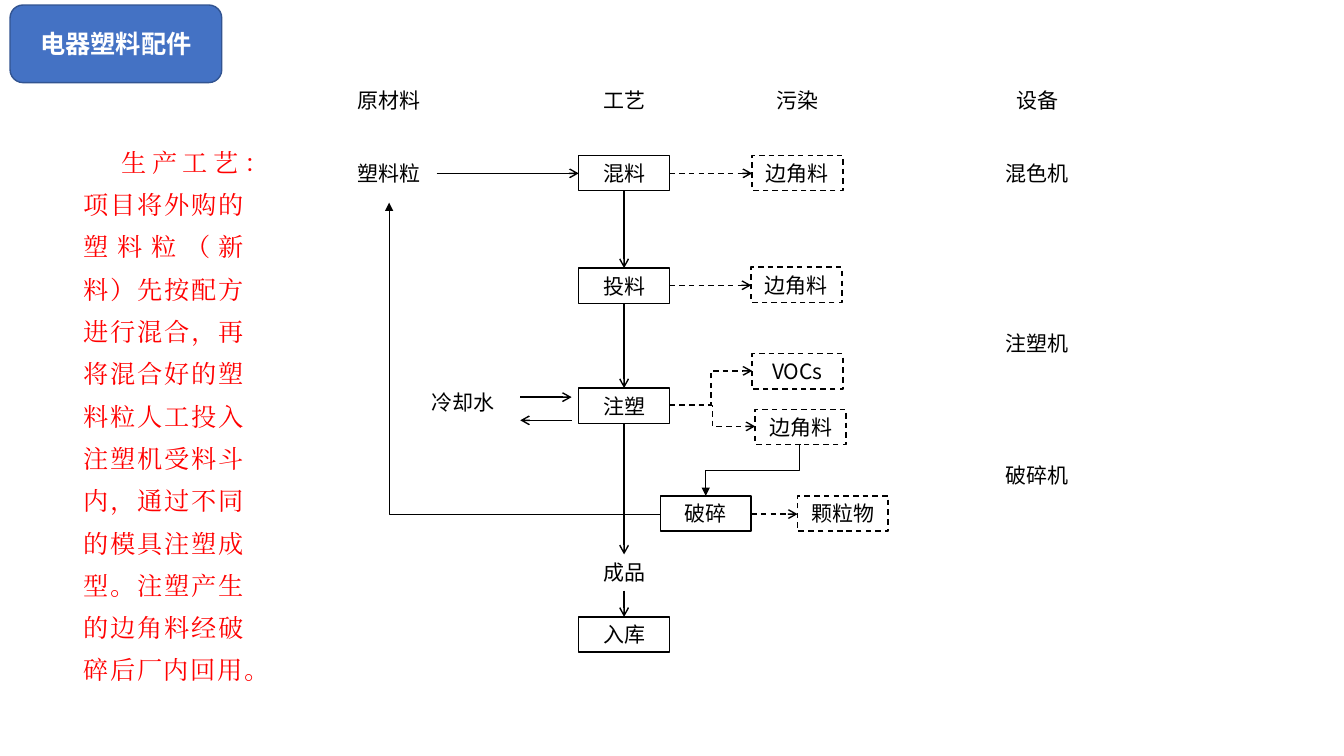
from lxml import etree
from pptx import Presentation
from pptx import util as u
from pptx.dml.color import RGBColor
from pptx.enum import dml, shapes, text
from pptx.oxml.ns import qn

PX = 9144  # 100 px to the inch
BLACK = RGBColor(0, 0, 0)
WHITE = RGBColor(255, 255, 255)
RED = RGBColor(255, 0, 0)
BLUE = RGBColor(0x44, 0x72, 0xC4)
DARK_BLUE = RGBColor(0x32, 0x54, 0x91)
SANS = "Noto Sans CJK SC"
SERIF = "Times New Roman"
BOX_WIDTH, BOX_HEIGHT = 90, 35

PROCESS = ("生产工艺：项目将外购的塑料粒（新料）先按配方进行混合，再将混合好的塑料粒人工投入"
           "注塑机受料斗内，通过不同的模具注塑成型。注塑产生的边角料经破碎后厂内回用。")

# Centre x and top y of each label or box
LABELS = [
    ("原材料", 386, 82), ("工艺", 619, 82), ("污染", 791, 82), ("设备", 1029, 82),
    ("塑料粒", 386, 154), ("冷却水", 459, 381), ("成品", 619, 550),
    ("混色机", 1029, 154), ("注塑机", 1029, 323), ("破碎机", 1029, 454),
]
STEPS = [("混料", 619, 154), ("投料", 619, 266), ("注塑", 619, 385),
         ("破碎", 700, 492), ("入库", 619, 612)]
POLLUTANTS = [("边角料", 791, 154), ("边角料", 790, 265), ("VOCs", 791, 351),
              ("边角料", 794, 406), ("颗粒物", 836, 492)]

FLOW_ARROWS = [
    ((433, 172), (574, 172)), ((516, 394), (567, 394)), ((567, 417), (516, 417)),
    ((619, 189), (619, 266)), ((619, 301), (619, 385)),
    ((619, 420), (619, 550)), ((619, 586), (619, 612)),
]
WASTE_ARROWS = [((664, 172), (746, 172)), ((664, 283), (745, 283)),
                ((745, 510), (791, 510))]
WASTE_ELBOWS = [((664, 402), (749, 423)), ((664, 402), (746, 368))]


def px(*lengths):
    return [u.Emu(round(length * PX)) for length in lengths]


def write(shape, words, size=15, font=SANS, color=BLACK, bold=False,
          align=text.PP_ALIGN.CENTER, anchor=text.MSO_ANCHOR.MIDDLE,
          margins=(0, 0), indent=0, line_spacing=None):
    frame = shape.text_frame
    frame.word_wrap = True
    frame.vertical_anchor = anchor
    frame.margin_left, frame.margin_top = px(*margins)
    frame.margin_right, frame.margin_bottom = px(*margins)
    paragraph = frame.paragraphs[0]
    paragraph.alignment = align
    if line_spacing:
        paragraph.line_spacing = line_spacing
    if indent:
        paragraph._p.get_or_add_pPr().set("indent", str(indent * PX))
    run = paragraph.add_run()
    run.text = words
    run.font.size = u.Pt(size)
    run.font.bold = bold
    run.font.name = font
    run.font.color.rgb = color
    east_asian = etree.SubElement(run._r.get_or_add_rPr(), qn("a:ea"))
    east_asian.set("typeface", font)


def add_box(slide, box, kind=shapes.MSO_SHAPE.RECTANGLE, fill=WHITE, line=BLACK,
            dashed=False):
    shape = slide.shapes.add_shape(kind, *px(*box))
    shape.shadow.inherit = False
    shape.fill.solid()
    shape.fill.fore_color.rgb = fill
    shape.line.color.rgb = line
    shape.line.width = u.Pt(1)
    if dashed:
        shape.line.dash_style = dml.MSO_LINE.DASH
    return shape


def add_arrow(slide, start, end, kind=shapes.MSO_CONNECTOR.STRAIGHT,
              dashed=False, width=1, head="arrow"):
    arrow = slide.shapes.add_connector(kind, *px(*start, *end))
    arrow.line.color.rgb = BLACK
    arrow.line.width = u.Pt(width)
    if dashed:
        arrow.line.dash_style = dml.MSO_LINE.DASH
    tail = etree.SubElement(arrow.line._get_or_add_ln(), qn("a:tailEnd"))
    tail.set("type", head)
    etree.SubElement(arrow._element.spPr, qn("a:effectLst"))
    return arrow


def add_turned_elbow(slide, start, end, degrees, preset):
    """Elbow arrow whose preset outline is turned about the middle of its ends."""
    middle_x, middle_y = (start[0] + end[0]) / 2, (start[1] + end[1]) / 2
    half_width, half_height = abs(end[0] - start[0]) / 2, abs(end[1] - start[1]) / 2
    if degrees % 180:
        half_width, half_height = half_height, half_width
    arrow = add_arrow(slide, (middle_x - half_width, middle_y - half_height),
                      (middle_x + half_width, middle_y + half_height),
                      shapes.MSO_CONNECTOR.ELBOW, width=0.5, head="triangle")
    properties = arrow._element.spPr
    properties.find(qn("a:xfrm")).set("rot", str(degrees * 60000))
    properties.find(qn("a:prstGeom")).set("prst", preset)


def add_title(slide, box):
    badge = add_box(slide, box, shapes.MSO_SHAPE.ROUNDED_RECTANGLE, BLUE, DARK_BLUE)
    write(badge, "电器塑料配件", size=18, color=WHITE, bold=True)


def add_description(slide, box):
    description = slide.shapes.add_textbox(*px(*box))
    write(description, PROCESS, size=18, font=SERIF, color=RED,
          align=text.PP_ALIGN.JUSTIFY, anchor=text.MSO_ANCHOR.TOP,
          margins=(10, 5), indent=38, line_spacing=1.4)


def add_flow_chart(slide, left, top):
    def place(point):
        return left + point[0], top + point[1]

    def cell(center, cell_top):
        return (*place((center - BOX_WIDTH / 2, cell_top)), BOX_WIDTH, BOX_HEIGHT)

    for words, center, label_top in LABELS:
        write(slide.shapes.add_textbox(*px(*cell(center, label_top))), words)
    for start, end in FLOW_ARROWS:
        add_arrow(slide, place(start), place(end))
    for start, end in WASTE_ARROWS:
        add_arrow(slide, place(start), place(end), dashed=True)
    for start, end in WASTE_ELBOWS:
        add_arrow(slide, place(start), place(end), shapes.MSO_CONNECTOR.ELBOW,
                  dashed=True)
    add_turned_elbow(slide, place((793, 441)), place((700, 492)), 90,
                     "bentConnector3")
    add_turned_elbow(slide, place((655, 510)), place((386, 201)), 180,
                     "bentConnector2")
    for boxes, dashed in ((STEPS, False), (POLLUTANTS, True)):
        for words, center, box_top in boxes:
            write(add_box(slide, cell(center, box_top), dashed=dashed), words)


def main():
    presentation = Presentation()
    presentation.slide_width, presentation.slide_height = px(1333, 750)
    slide = presentation.slides.add_slide(presentation.slide_layouts[6])
    add_title(slide, (10, 5, 210, 77))
    add_description(slide, (73, 129, 179, 561))
    add_flow_chart(slide, 0, 0)
    presentation.save("out.pptx")


if __name__ == "__main__":
    main()
